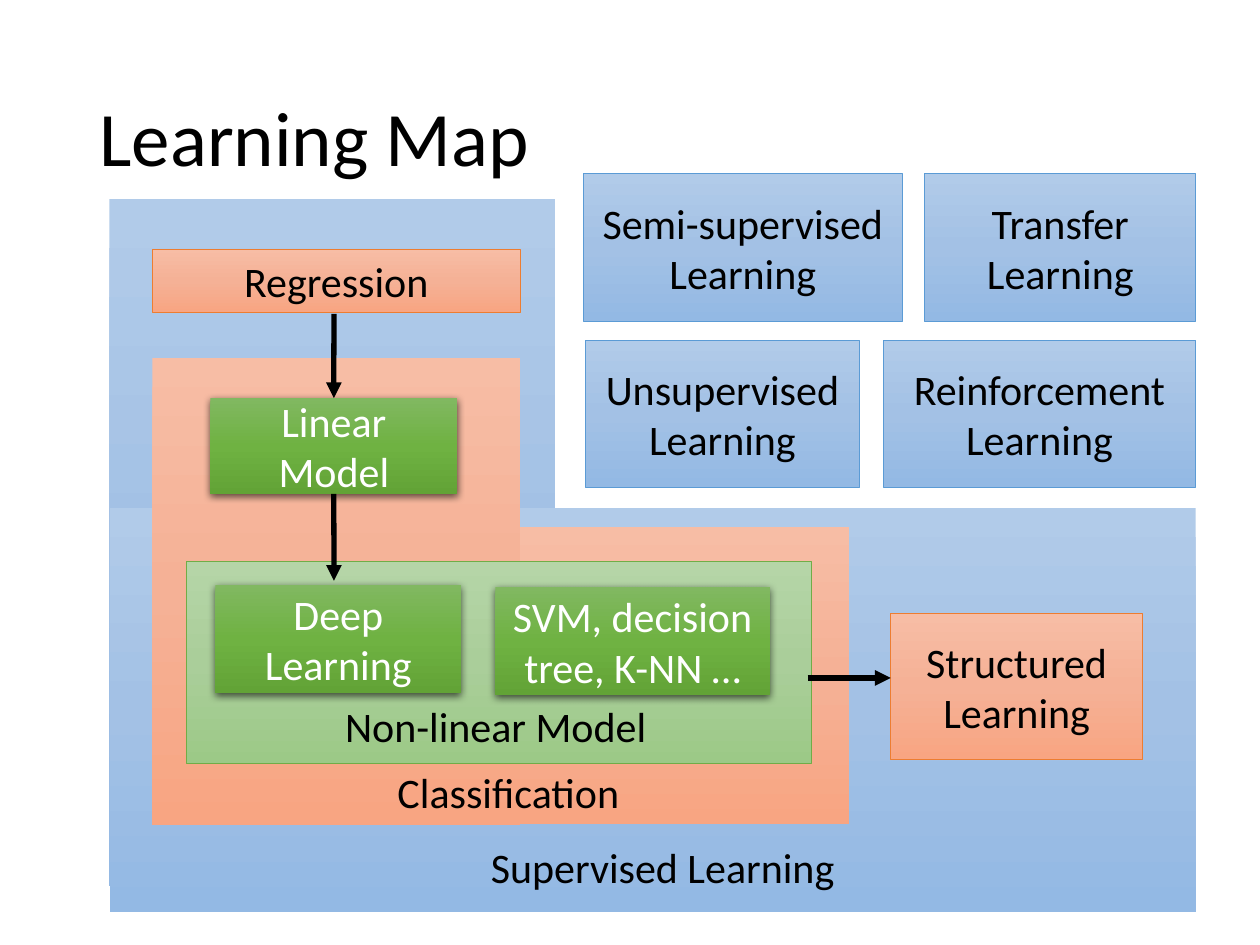
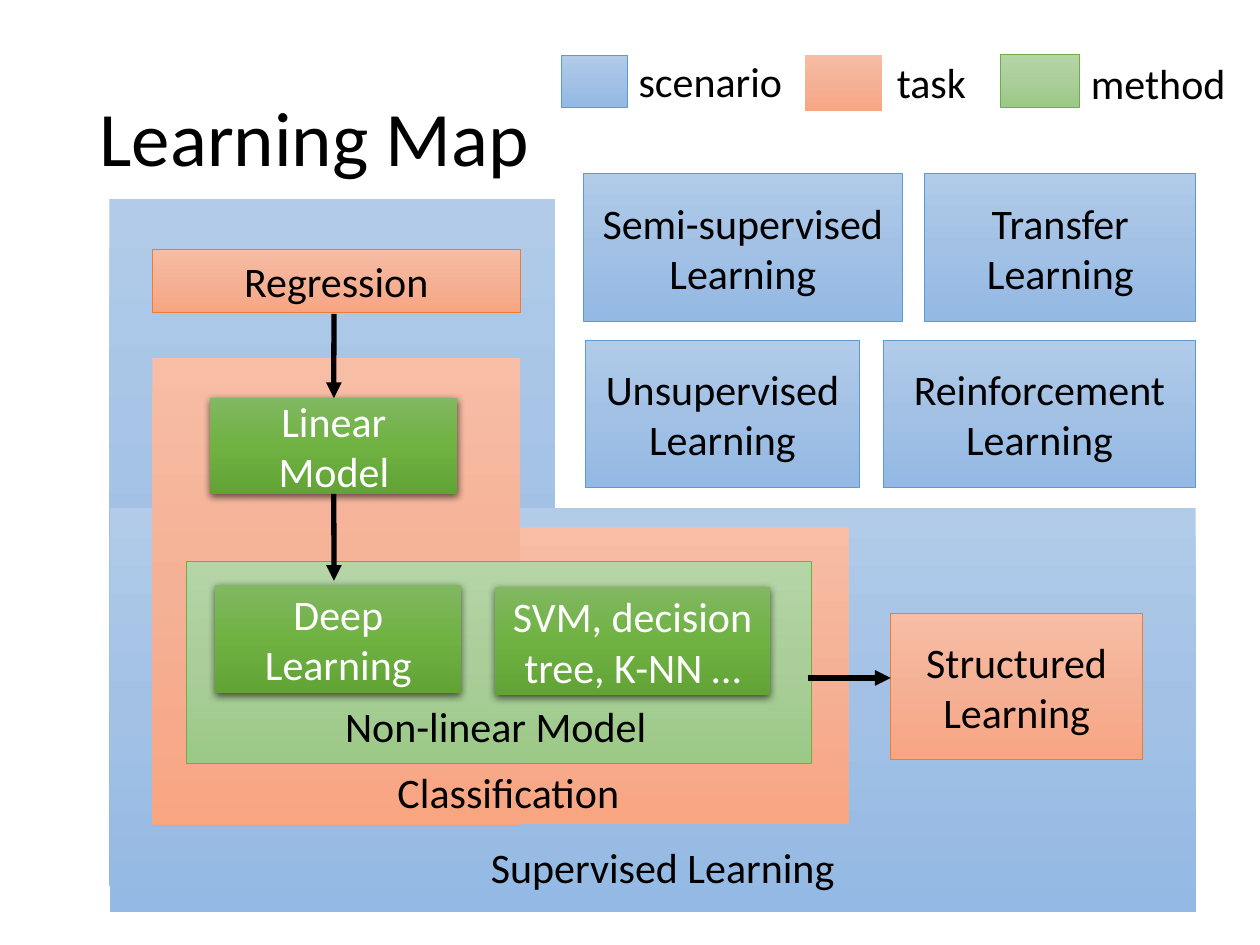
"""Build two Learning Map slides, the second with a colour legend."""
from copy import deepcopy
from dataclasses import dataclass

from lxml.etree import SubElement
from pptx import Presentation
from pptx.dml.color import RGBColor
from pptx.enum.shapes import MSO_CONNECTOR as Connector, MSO_SHAPE as Preset
from pptx.enum.text import MSO_ANCHOR as Anchor, MSO_AUTO_SIZE as AutoSize, PP_ALIGN as Align
from pptx.oxml.ns import qn
from pptx.util import Pt


@dataclass(frozen=True)
class Palette:
    stops: tuple
    line: str


@dataclass(frozen=True)
class Theme:
    scenario = Palette(("B1CBE9", "A3C1E5", "93B9E4"), "5B9BD5")
    task = Palette(("F7BDA5", "F5B196", "F8A582"), "ED7D31")
    method = Palette(("B5D5A7", "AACE9A", "9CC987"), "70AD47")
    model = Palette(("81B861", "6FB242", "62A336"), "")
    dark = RGBColor.from_string("000000")
    light = RGBColor.from_string("FFFFFF")
    font = "Calibri"
    title_size = Pt(44)
    body_size = Pt(24)
    box_line = Pt(0.5)
    arrow_line = Pt(3)


def apply_format(target, values):
    for name, value in values.items():
        setattr(target, name, value)


class MapBuilder:
    def __init__(self, presentation, theme):
        self.presentation = presentation
        self.theme = theme
        self.slide = None

    def new_slide(self, title):
        self.slide = self.presentation.slides.add_slide(self.presentation.slide_layouts[5])
        shape = self.slide.shapes.title
        apply_format(shape, {"left": Pt(49.7), "top": Pt(28.8),
                             "width": Pt(620.6), "height": Pt(104.4)})
        self.set_text(shape, title, size=self.theme.title_size, alignment=Align.LEFT,
                      line_spacing=0.9)

    def set_text(self, shape, text, size=None, color=None, anchor=Anchor.MIDDLE,
                 alignment=Align.CENTER, auto_size=AutoSize.NONE, line_spacing=1.0):
        frame = shape.text_frame
        apply_format(frame, {"text": text, "word_wrap": True, "auto_size": auto_size,
                             "vertical_anchor": anchor})
        paragraph = frame.paragraphs[0]
        apply_format(paragraph, {"alignment": alignment, "line_spacing": line_spacing})
        apply_format(paragraph.font, {"name": self.theme.font,
                                      "size": size or self.theme.body_size})
        paragraph.font.color.rgb = color or self.theme.dark

    def box(self, bounds, palette, text="", outlined=True, **text_format):
        shape = self.slide.shapes.add_shape(Preset.RECTANGLE, *map(Pt, bounds))
        shape.shadow.inherit = False
        self.gradient(shape, palette.stops)
        if outlined:
            shape.line.color.rgb = RGBColor.from_string(palette.line)
            shape.line.width = self.theme.box_line
        else:
            shape.line.fill.background()
        if text:
            self.set_text(shape, text, **text_format)
        return shape

    def gradient(self, shape, colors):
        fill = shape.fill
        fill.gradient()
        stop_list = shape._element.spPr.find(qn("a:gradFill")).find(qn("a:gsLst"))
        stop_list.append(deepcopy(stop_list[0]))
        for index, (stop, color) in enumerate(zip(fill.gradient_stops, colors)):
            apply_format(stop, {"position": index / 2})
            stop.color.rgb = RGBColor.from_string(color)
        fill.gradient_angle = 270

    def model_box(self, bounds, text):
        shape = self.box(bounds, self.theme.model, text, outlined=False, color=self.theme.light)
        effects = shape._element.spPr.find(qn("a:effectLst"))
        shadow = SubElement(effects, qn("a:outerShdw"), blurRad=str(Pt(4.5)), dist=str(Pt(1.5)),
                            dir="5400000", algn="ctr", rotWithShape="0")
        color = SubElement(shadow, qn("a:srgbClr"), val="000000")
        SubElement(color, qn("a:alpha"), val="63000")
        return shape

    def label(self, left, top, width, text, alignment=Align.CENTER):
        shape = self.slide.shapes.add_textbox(Pt(left), Pt(top), Pt(width), Pt(36))
        self.set_text(shape, text, anchor=Anchor.TOP, alignment=alignment,
                      auto_size=AutoSize.SHAPE_TO_FIT_TEXT)

    def arrow(self, start, end):
        connector = self.slide.shapes.add_connector(Connector.STRAIGHT, *map(Pt, start + end))
        apply_format(connector.line, {"width": self.theme.arrow_line})
        connector.line.color.rgb = self.theme.dark
        properties = connector._element.spPr
        SubElement(properties.find(qn("a:ln")), qn("a:tailEnd"), type="triangle")
        SubElement(properties, qn("a:effectLst"))
        return connector

    def learning_map(self):
        theme = self.theme
        for bounds, palette in (
            ((62.6, 113.8, 254.9, 392.4), theme.scenario),
            ((62.6, 290.2, 620.6, 231.1), theme.scenario),
            ((113.8, 301, 371.5, 169.9), theme.task),
            ((87.1, 204.5, 210.2, 267.1), theme.task),
        ):
            self.box(bounds, palette, outlined=False)
        self.box((87.1, 142.6, 210.2, 36), theme.task, "Regression", anchor=Anchor.TOP,
                 auto_size=AutoSize.SHAPE_TO_FIT_TEXT)
        self.box((509, 350.6, 144, 83.5), theme.task, "Structured Learning")
        for left, top, width, name in (
            (333.4, 99.4, 182.2, "Semi-supervised"),
            (528.5, 99.4, 154.8, "Transfer"),
            (334.8, 194.4, 156.2, "Unsupervised"),
            (504.7, 194.4, 178.6, "Reinforcement"),
        ):
            self.box((left, top, width, 84.2), theme.scenario, f"{name} Learning")

        self.box((106.6, 321.1, 357.1, 115.2), theme.method)
        linear_model = self.model_box((120.2, 227.5, 141.2, 54.7), "Linear Model")
        self.model_box((123.1, 334.1, 140.4, 61.9), "Deep Learning")
        self.model_box((283, 335.5, 157, 61.9), "SVM, decision tree, K-NN …")
        for label in (
            (244.8, 477.4, 267.8, "Supervised Learning"),
            (210.2, 434.2, 160.6, "Classification"),
            (183.6, 396.7, 199.4, "Non-linear Model"),
        ):
            self.label(*label)

        self.arrow((190.8, 179.3), (190.8, 227.5)).end_connect(linear_model, 0)
        self.arrow((190.8, 282.2), (190.8, 331.9)).begin_connect(linear_model, 2)
        self.arrow((461.5, 387.4), (509, 387.4))

    def legend(self):
        theme = self.theme
        for swatch, palette, outlined, label in (
            ((321.1, 31.7, 37.4, 29.5), theme.scenario, True, (357.8, 28.1, 102.2, "scenario")),
            ((460.1, 31.7, 43.9, 31.7), theme.task, False, (505.4, 28.8, 56.2, "task")),
            ((571.7, 31, 45.4, 30.2), theme.method, True, (616.3, 29.5, 102.2, "method")),
        ):
            self.box(swatch, palette, outlined=outlined)
            self.label(*label, alignment=Align.LEFT)


def main():
    presentation = Presentation()
    apply_format(presentation, {"slide_width": Pt(720), "slide_height": Pt(540)})
    builder = MapBuilder(presentation, Theme())
    for has_legend in (False, True):
        builder.new_slide("Learning Map")
        builder.learning_map()
        if has_legend:
            builder.legend()
    presentation.save("out.pptx")


if __name__ == "__main__":
    main()
